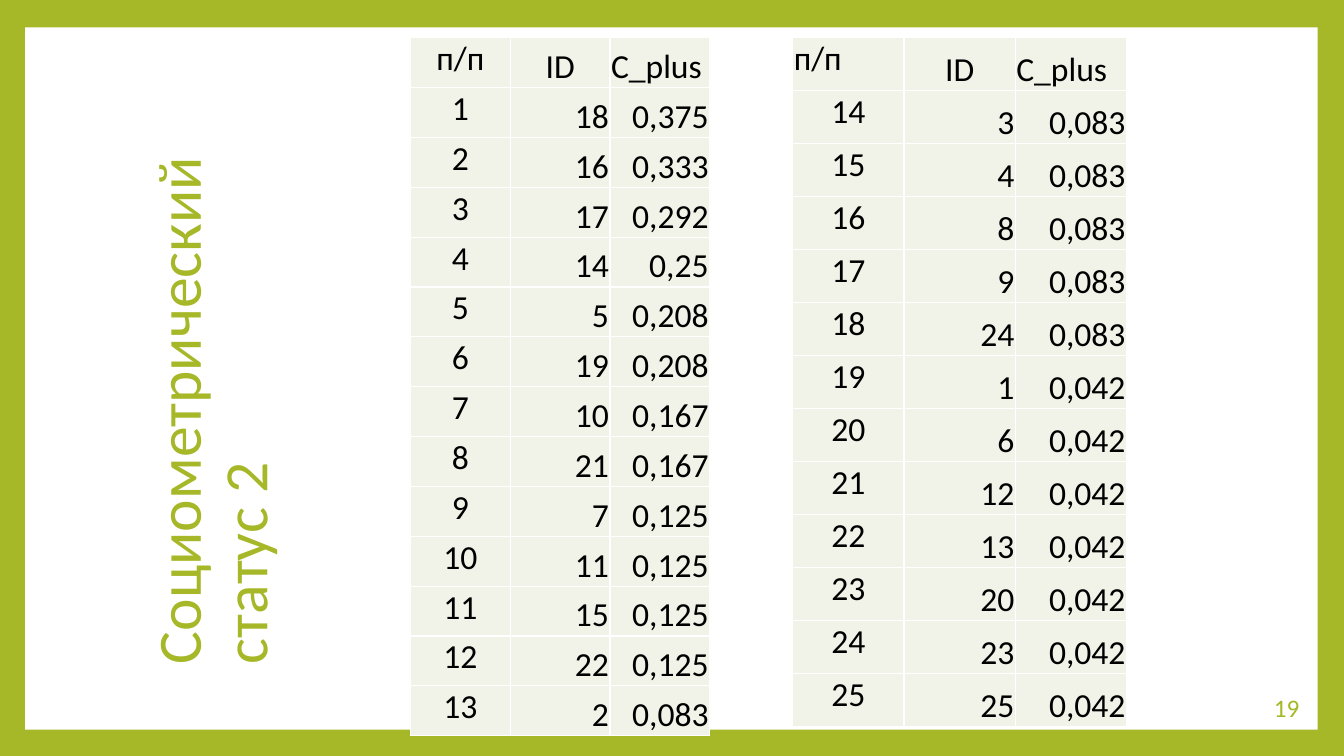
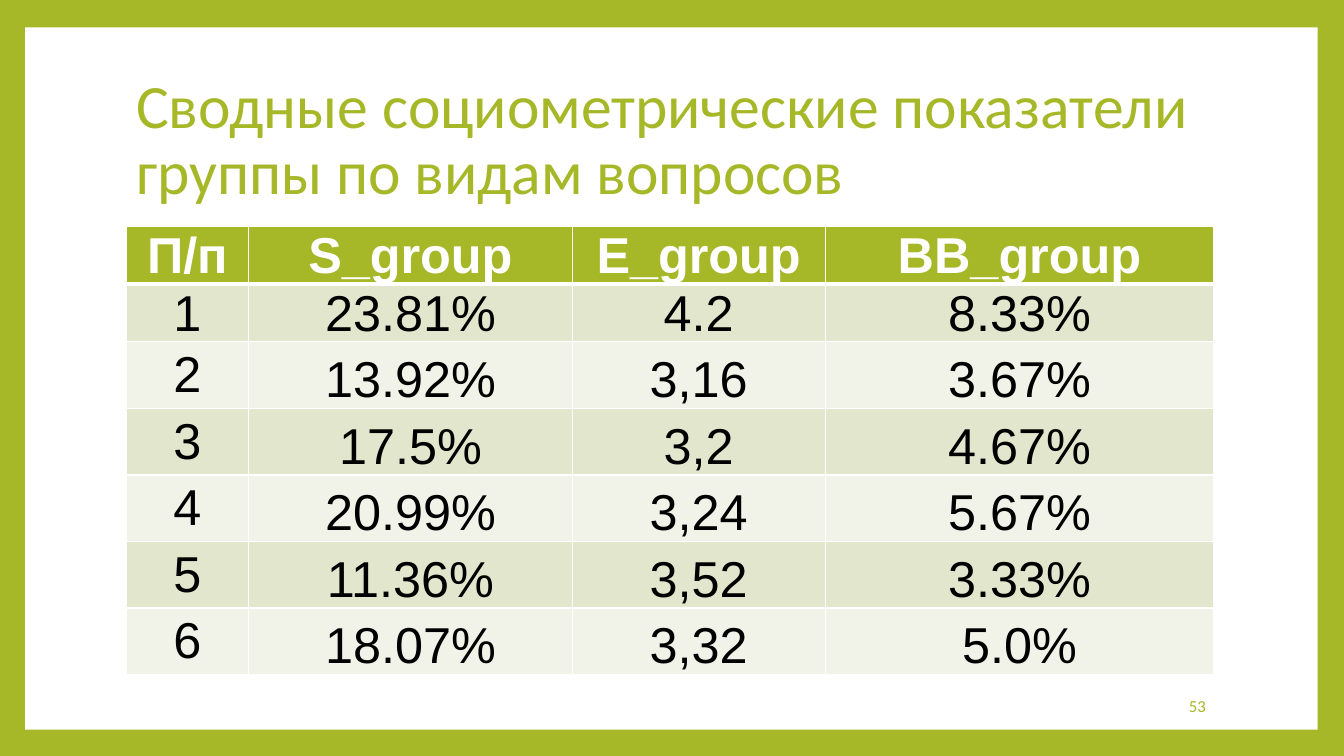
from lxml.etree import SubElement
from pptx import Presentation
from pptx.dml.color import RGBColor
from pptx.enum.shapes import MSO_SHAPE
from pptx.enum.text import MSO_ANCHOR, MSO_AUTO_SIZE, PP_ALIGN
from pptx.oxml.ns import qn
from pptx.util import Pt

PX = 9525
INK = {"green": "A6B727", "white": "FFFFFF", "black": "000000",
       "pale": "F1F3E8", "band": "E1E6CD"}
LEFT, MID, RIGHT = PP_ALIGN.LEFT, PP_ALIGN.CENTER, PP_ALIGN.RIGHT
TOP, LOW = MSO_ANCHOR.TOP, MSO_ANCHOR.BOTTOM
TITLED, BLANK = 5, 6


def hue(name):
    return RGBColor.from_string(INK[name])


def emu(*sizes):
    return [round(size * PX) for size in sizes]


class Deck:
    def __init__(self):
        self.prs = Presentation()
        self.prs.slide_width, self.prs.slide_height = emu(1280, 720)
        self.slide = None
        fill = self.prs.slide_master.background.fill
        fill.solid()
        fill.fore_color.rgb = hue("green")

    def new(self, layout):
        self.slide = self.prs.slides.add_slide(self.prs.slide_layouts[layout])

    def panel(self):
        """Put the white panel on the master, behind everything."""
        box = self.slide.shapes.add_shape(MSO_SHAPE.RECTANGLE, *emu(24, 26, 1231, 669))
        box.shadow.inherit = False
        box.fill.solid()
        box.fill.fore_color.rgb = hue("white")
        box.line.fill.background()
        box.element.nvSpPr.cNvPr.set("id", "99")
        self.prs.slide_master.placeholders[0].element.addprevious(box.element)

    def run(self, para, text, size, color="green", font="Calibri", bold=False):
        run = para.add_run()
        run.text = text
        run.font.size, run.font.name, run.font.bold = Pt(size), font, bold
        run.font.color.rgb = hue(color)

    def head(self, box, lines):
        """Format a heading, level or upright."""
        frame = box.text_frame
        frame.word_wrap = True
        frame.auto_size = MSO_AUTO_SIZE.NONE
        frame.vertical_anchor = MSO_ANCHOR.MIDDLE
        para = frame.paragraphs[0]
        para.alignment, para.line_spacing = LEFT, 0.9
        for i, line in enumerate(lines):
            if i:
                para.add_line_break()
            self.run(para, line, 44)

    def title(self, at, text):
        box = self.slide.shapes.title
        box.left, box.top, box.width, box.height = emu(*at)
        self.head(box, [text])

    def side(self, at, lines):
        """Heading that reads upward along the left side."""
        box = self.slide.shapes.add_textbox(*emu(*at))
        self.head(box, lines)
        box.element.txBody.find(qn("a:bodyPr")).set("vert", "vert270")

    def page(self, at, text, size):
        frame = self.slide.shapes.add_textbox(*emu(*at)).text_frame
        frame.word_wrap = True
        frame.vertical_anchor = MSO_ANCHOR.MIDDLE
        frame.paragraphs[0].alignment = RIGHT
        self.run(frame.paragraphs[0], text, size)

    def grid(self, at, cols, tall, rows, head=False):
        """Add a table and yield row, column, cell and text."""
        table = self.slide.shapes.add_table(
            len(rows), len(cols), *emu(*at, sum(cols), sum(tall))).table
        table.first_row, table.horz_banding = head, False
        for col, wide in zip(table.columns, emu(*cols)):
            col.width = wide
        for row, high in zip(table.rows, emu(*tall)):
            row.height = high
        for r, row in enumerate(rows):
            for c, text in enumerate(row):
                cell = table.cell(r, c)
                self.edge(cell, 3 if head and r == 1 else 1,
                          3 if head and r == 0 else 1)
                yield r, c, cell, text

    def edge(self, cell, top, low):
        props = cell._tc.get_or_add_tcPr()
        for side, wide in zip("LRTB", (1, 1, top, low)):
            line = SubElement(props, qn("a:ln" + side), w=str(Pt(wide)))
            fill = SubElement(line, qn("a:solidFill"))
            SubElement(fill, qn("a:srgbClr"), val=INK["white"])

    def cell(self, cell, text, fill, align, anchor, size, tight=True, **look):
        cell.fill.solid()
        cell.fill.fore_color.rgb = hue(fill)
        cell.vertical_anchor = anchor
        if tight:
            cell.margin_left = cell.margin_top = cell.margin_right = PX
            cell.margin_bottom = 0
        para = cell.text_frame.paragraphs[0]
        para.alignment = align
        self.run(para, text, size, **look)

    def ranks(self, left, wide, high, first, start, pairs):
        """Status list: numbered rows of ID and C_plus."""
        rows = [("п/п", "ID", "C_plus")]
        rows += [(str(n), *pair) for n, pair in enumerate(pairs, start)]
        cells = self.grid((left, 36), [wide] * 3, [high / len(rows)] * len(rows), rows)
        for r, c, cell, text in cells:
            align = (MID, RIGHT, RIGHT)[c] if r else (first, MID, LEFT)[c]
            self.cell(cell, text, "pale", align, LOW if c else TOP, 24, color="black")

    def totals(self, at, cols, tall, rows):
        """Summary with a green head and banded rows."""
        for r, c, cell, text in self.grid(at, cols, tall, rows, True):
            fill = ("band" if r % 2 else "pale") if r else "green"
            low = r == 1 or (r and c)
            self.cell(cell, text, fill, MID, LOW if low else TOP, 36,
                      tight=r < 2 or c > 0, font="Arial", bold=r == 0,
                      color="black" if r else "white")


UPPER = [("18", "0,375"), ("16", "0,333"), ("17", "0,292"), ("14", "0,25"),
         ("5", "0,208"), ("19", "0,208"), ("10", "0,167"), ("21", "0,167"),
         ("7", "0,125"), ("11", "0,125"), ("15", "0,125"), ("22", "0,125"),
         ("2", "0,083")]
LOWER = [(num, "0,083") for num in ("3", "4", "8", "9", "24")]
LOWER += [(num, "0,042") for num in ("1", "6", "12", "13", "20", "23", "25")]
GROUPS = [("П/п", "S_group", "E_group", "BB_group"),
          ("1", "23.81%", "4.2", "8.33%"),
          ("2", "13.92%", "3,16", "3.67%"),
          ("3", "17.5%", "3,2", "4.67%"),
          ("4", "20.99%", "3,24", "5.67%"),
          ("5", "11.36%", "3,52", "3.33%"),
          ("6", "18.07%", "3,32", "5.0%")]


def main():
    deck = Deck()

    # Status ranking
    deck.new(BLANK)
    deck.panel()
    deck.ranks(391, 95, 665, MID, 1, UPPER)
    deck.page((1068, 655, 179, 38), "19", 18)
    deck.ranks(755, 106, 656, LEFT, 14, LOWER)
    deck.side((84, 50, 240, 592), ["Социометрический", "статус 2"])

    # Group summary
    deck.new(TITLED)
    deck.title((120, 64, 1037, 142),
               "Сводные социометрические показатели группы по видам вопросов")
    deck.totals((120, 216), [117, 308, 241, 370], [54] * 2 + [63] * 5, GROUPS)
    deck.page((979, 653, 179, 38), "53", 12)

    deck.prs.save("out.pptx")


if __name__ == "__main__":
    main()
